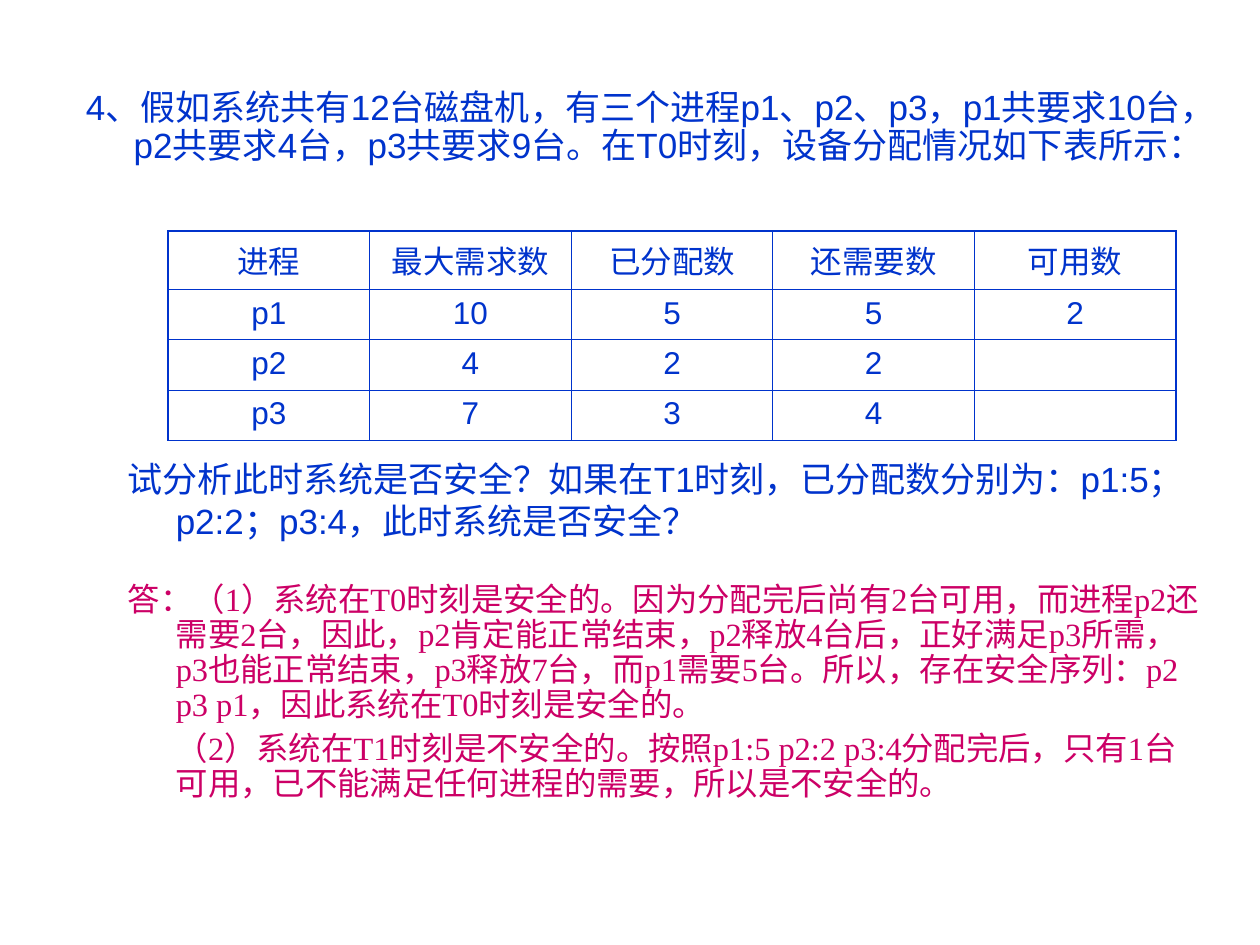
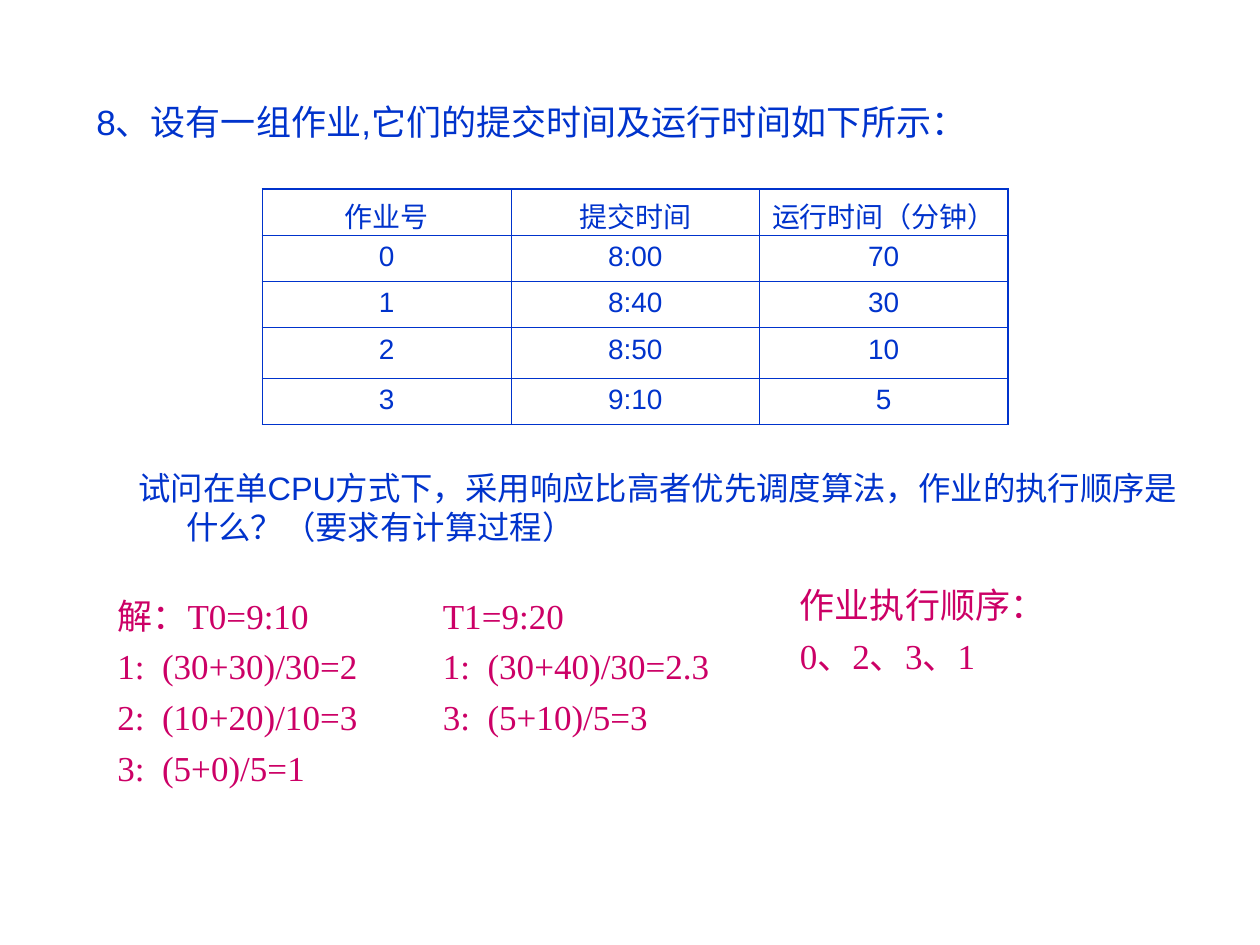
from dataclasses import dataclass

from lxml.etree import SubElement
from pptx import Presentation
from pptx.dml.color import RGBColor
from pptx.enum.text import MSO_ANCHOR, PP_ALIGN as Align
from pptx.oxml.ns import qn
from pptx.util import Pt


@dataclass(frozen=True)
class Theme:
    question: str = "0033CC"
    answer: str = "CC0066"
    question_font: str = "Arial"
    answer_font: str = "Times New Roman"
    large: float = 20
    medium: float = 18.5
    outer_line: float = 1.08
    inner_line: float = 0.45
    cell_margin: float = 5
    hanging: float = 27.36
    step_hanging: float = 25.5
    space_before: float = 5


THEME = Theme()
BLANK_LAYOUT = 6

SLIDES = [
    {
        "table": {
            "box": (96, 132, 576),
            "size": 18,
            "row_heights": [28.8] * 4,
            "rows": [
                ("进程", "最大需求数", "已分配数", "还需要数", "可用数"),
                ("p1", "10", "5", "5", "2"),
                ("p2", "4", "2", "2", ""),
                ("p3", "7", "3", "4", ""),
            ],
        },
        "questions": [
            {
                "box": (42, 48, 654, 78),
                "line_spacing": 0.9,
                "lines": ["4、假如系统共有12台磁盘机，有三个进程p1、p2、p3，p1共要求10台，"
                          "p2共要求4台，p3共要求9台。在T0时刻，设备分配情况如下表所示："],
            },
            {
                "box": (66, 258, 630, 60),
                "lines": ["试分析此时系统是否安全？如果在T1时刻，已分配数分别为："
                          "p1:5；p2:2；p3:4，此时系统是否安全？"],
            },
        ],
        "answers": [
            {
                "box": (66, 330, 630, 180),
                "size": THEME.medium,
                "line_spacing": 0.9,
                "lines": [
                    "答：（1）系统在T0时刻是安全的。因为分配完后尚有2台可用，而进程p2还需要2台，"
                    "因此，p2肯定能正常结束，p2释放4台后，正好满足p3所需，p3也能正常结束，"
                    "p3释放7台，而p1需要5台。所以，存在安全序列：p2 p3 p1，"
                    "因此系统在T0时刻是安全的。",
                    "\t（2）系统在T1时刻是不安全的。按照p1:5 p2:2 p3:4分配完后，只有1台可用，"
                    "已不能满足任何进程的需要，所以是不安全的。",
                ],
            },
        ],
    },
    {
        "table": {
            "box": (150, 108, 426),
            "size": 16,
            "row_heights": [26.4, 26.4, 26.4, 28.8, 26.4],
            "rows": [
                ("作业号", "提交时间", "运行时间（分钟）"),
                ("0", "8:00", "70"),
                ("1", "8:40", "30"),
                ("2", "8:50", "10"),
                ("3", "9:10", "5"),
            ],
        },
        "questions": [
            {
                "box": (48, 54, 654, 42),
                "lines": ["8、设有一组作业,它们的提交时间及运行时间如下所示："],
            },
            {
                "box": (72, 264, 618, 54),
                "size": THEME.medium,
                "lines": ["试问在单CPU方式下，采用响应比高者优先调度算法，"
                          "作业的执行顺序是什么？（要求有计算过程）"],
            },
        ],
        "answers": [
            {
                "box": (60, 336, 168, 168),
                "hanging": THEME.step_hanging,
                "lines": ["解：T0=9:10", "1:\t(30+30)/30=2", "2:\t(10+20)/10=3", "3:\t(5+0)/5=1"],
            },
            {
                "box": (246, 336, 168, 168),
                "hanging": THEME.step_hanging,
                "lines": ["T1=9:20", "1:\t(30+40)/30=2.3", "3:\t(5+10)/5=3"],
            },
            {
                "box": (450, 330, 168, 168),
                "lines": ["作业执行顺序：", "0、2、3、1"],
            },
        ],
    },
]


def style_font(paragraph, font_name, size, color):
    paragraph.font.name = font_name
    paragraph.font.size = Pt(size)
    paragraph.font.color.rgb = RGBColor.from_string(color)


def add_text(slide, block, font_name, color):
    shape = slide.shapes.add_textbox(*map(Pt, block["box"]))
    frame = shape.text_frame
    frame.word_wrap = True
    hanging = Pt(block.get("hanging", THEME.hanging))
    for index, line in enumerate(block["lines"]):
        paragraph = frame.add_paragraph() if index else frame.paragraphs[0]
        paragraph.add_run().text = line
        paragraph.space_before = Pt(THEME.space_before)
        paragraph.line_spacing = block.get("line_spacing", 1.0)
        style_font(paragraph, font_name, block.get("size", THEME.large), color)
        properties = paragraph._p.get_or_add_pPr()
        properties.set("marL", str(hanging))
        properties.set("indent", str(-hanging))


def add_borders(cell, outer_sides):
    properties = cell._tc.get_or_add_tcPr()
    for side in "LRTB":
        width = THEME.outer_line if side in outer_sides else THEME.inner_line
        line = SubElement(properties, qn(f"a:ln{side}"), w=str(Pt(width)))
        fill = SubElement(line, qn("a:solidFill"))
        SubElement(fill, qn("a:srgbClr"), val=THEME.question)


def add_grid(slide, content):
    rows, heights, size = content["rows"], content["row_heights"], content["size"]
    left, top, width = content["box"]
    last_row, last_column = len(rows) - 1, len(rows[0]) - 1
    table = slide.shapes.add_table(
        len(rows), len(rows[0]), Pt(left), Pt(top), Pt(width), Pt(sum(heights))
    ).table
    table.first_row = table.horz_banding = False
    for column in table.columns:
        column.width = Pt(width / len(rows[0]))
    for row_index, values in enumerate(rows):
        table.rows[row_index].height = Pt(heights[row_index])
        for column_index, value in enumerate(values):
            cell = table.cell(row_index, column_index)
            cell.vertical_anchor = MSO_ANCHOR.TOP
            cell.margin_left = cell.margin_right = Pt(THEME.cell_margin)
            edges = {"L": column_index == 0, "R": column_index == last_column,
                     "T": row_index == 0, "B": row_index == last_row}
            add_borders(cell, [side for side, is_outer in edges.items() if is_outer])
            cell.fill.background()
            paragraph = cell.text_frame.paragraphs[0]
            if value:
                paragraph.add_run().text = value
            paragraph.alignment = Align.CENTER
            paragraph.space_before = Pt(size / 4)
            style_font(paragraph, THEME.question_font, size, THEME.question)


def main():
    presentation = Presentation()
    presentation.slide_width, presentation.slide_height = Pt(720), Pt(540)
    for content in SLIDES:
        slide = presentation.slides.add_slide(presentation.slide_layouts[BLANK_LAYOUT])
        add_grid(slide, content["table"])
        for block in content["questions"]:
            add_text(slide, block, THEME.question_font, THEME.question)
        for block in content["answers"]:
            add_text(slide, block, THEME.answer_font, THEME.answer)
    presentation.save("out.pptx")


if __name__ == "__main__":
    main()
